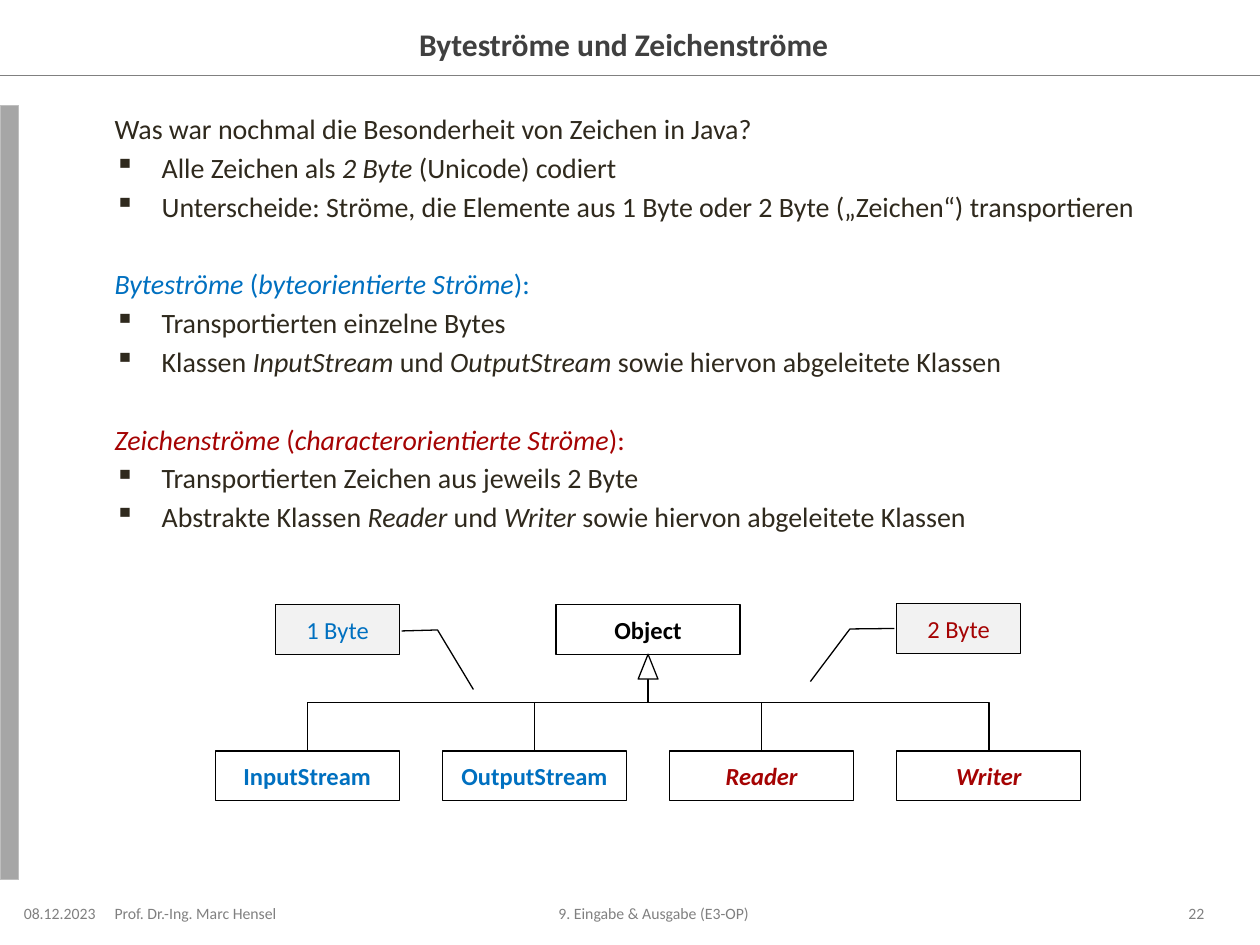
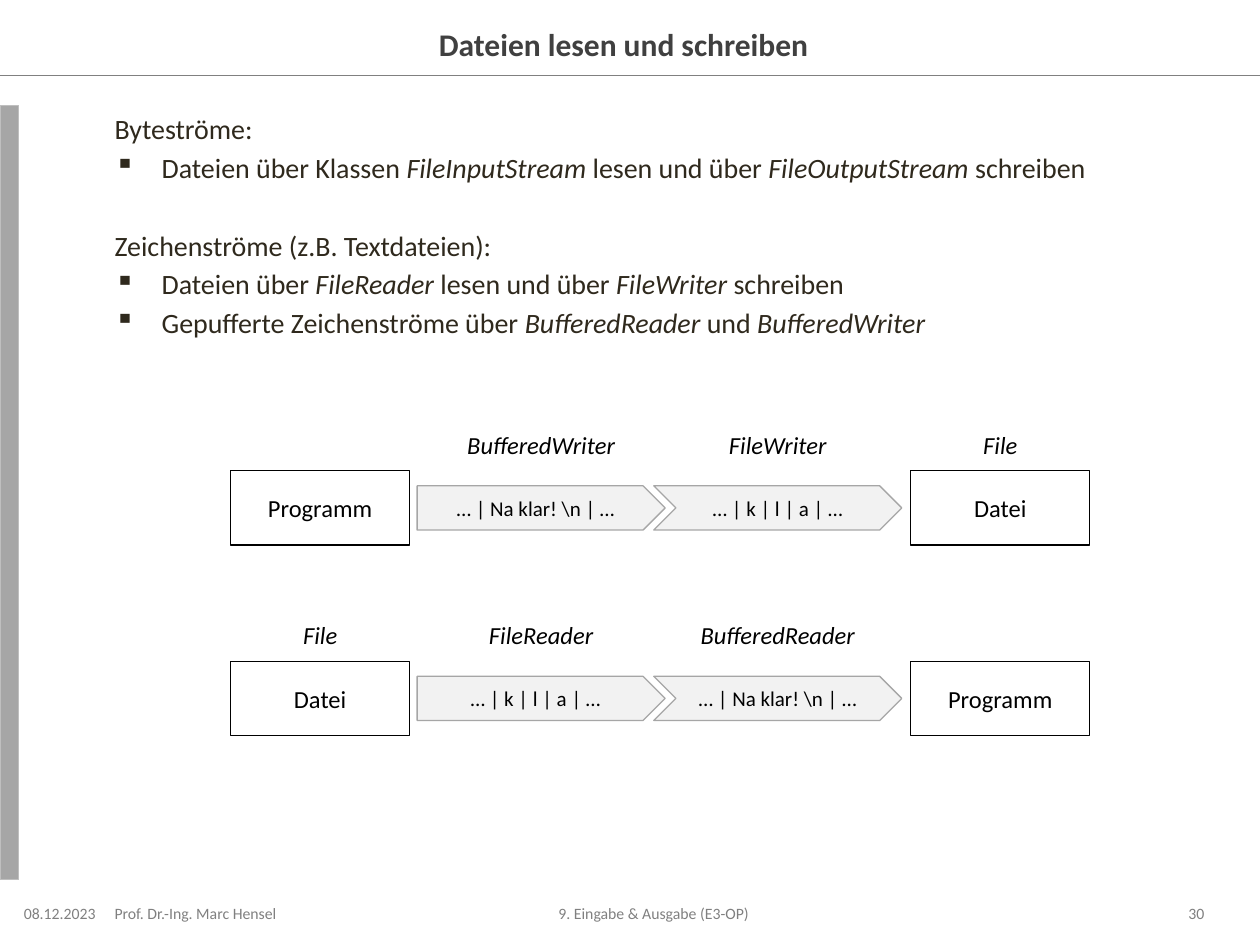
"""Builds two lecture slides on byte and character streams in Java."""
from lxml import etree
from pptx import Presentation
from pptx import util as u
from pptx.dml.color import RGBColor
from pptx.enum import shapes, text
from pptx.oxml import ns

WHITE = RGBColor(0xFF, 0xFF, 0xFF)
BLACK = RGBColor(0, 0, 0)
PALE = RGBColor(0xF2, 0xF2, 0xF2)
BAND = RGBColor(0xA6, 0xA6, 0xA6)
BAND_EDGE = RGBColor(0xBF, 0xBF, 0xBF)
GREY = RGBColor(0x80, 0x80, 0x80)
HEADING = RGBColor(0x40, 0x40, 0x40)
BODY = RGBColor(0x2F, 0x29, 0x1D)
BLUE = RGBColor(0x00, 0x70, 0xC0)
RED = RGBColor(0xA5, 0x03, 0x03)
FONT = "Calibri"
LEFT, CENTER, RIGHT = text.PP_ALIGN.LEFT, text.PP_ALIGN.CENTER, text.PP_ALIGN.RIGHT
KIND = shapes.MSO_SHAPE


def add_block(slide, kind, place, words="", size=14, color=BLACK, fill=WHITE,
              edge=BLACK, align=CENTER, bold=False, italic=False):
    """Add a preset shape, or a text box when kind is None, with its text."""
    place = [u.Cm(length) for length in place]
    if kind is None:
        block = slide.shapes.add_textbox(*place)
    else:
        block = slide.shapes.add_shape(kind, *place)
        block.shadow.inherit = False
        block.fill.solid()
        block.fill.fore_color.rgb = fill
        block.line.color.rgb = edge
        block.line.width = u.Pt(0.75)
    frame = block.text_frame
    frame.word_wrap = True
    frame.vertical_anchor = text.MSO_ANCHOR.MIDDLE
    if kind is None:
        frame.margin_left, frame.margin_right = u.Cm(0), u.Cm(0.25)
    if words:
        frame.text = words
        frame.paragraphs[0].alignment = align
        font = frame.paragraphs[0].runs[0].font
        font.name, font.size, font.color.rgb = FONT, u.Pt(size), color
        font.bold, font.italic = bold, italic
    return block


def add_line(slide, kind, start, end, color):
    """Add a thin connector without shadow."""
    line = slide.shapes.add_connector(kind, *[u.Cm(length) for length in start + end])
    line.line.color.rgb = color
    line.line.width = u.Pt(0.75)
    etree.SubElement(line._element.spPr, ns.qn("a:effectLst"))
    return line


topics = [
    ("Byteströme und Zeichenströme", "22", [
        ("Was war nochmal die Besonderheit von Zeichen in Java?", BODY, [
            "Alle Zeichen als *2 Byte* (Unicode) codiert",
            "Unterscheide: Ströme, die Elemente aus 1 Byte oder 2 Byte („Zeichen“) transportieren"]),
        ("*Byteströme* (*byteorientierte Ströme*):", BLUE, [
            "Transportierten einzelne Bytes",
            "Klassen *InputStream* und *OutputStream* sowie hiervon abgeleitete Klassen"]),
        ("*Zeichenströme* (*characterorientierte Ströme*):", RED, [
            "Transportierten Zeichen aus jeweils 2 Byte",
            "Abstrakte Klassen *Reader* und *Writer* sowie hiervon abgeleitete Klassen"])]),
    ("Dateien lesen und schreiben", "30", [
        ("Byteströme:", BODY, [
            "Dateien über Klassen *FileInputStream* lesen und über *FileOutputStream* schreiben"]),
        ("Zeichenströme (z.B. Textdateien):", BODY, [
            "Dateien über *FileReader* lesen und über *FileWriter* schreiben",
            "Gepufferte Zeichenströme über *BufferedReader* und *BufferedWriter*"])]),
]

deck = Presentation()
deck.slide_width, deck.slide_height = u.Cm(25.4), u.Cm(19.05)

for title, number, sections in topics:
    slide = deck.slides.add_slide(deck.slide_layouts[6])
    add_line(slide, shapes.MSO_CONNECTOR.STRAIGHT, (0, 1.52), (25.4, 1.52), GREY)
    add_block(slide, KIND.RECTANGLE, (0, 2.13, 0.38, 15.6), fill=BAND, edge=BAND_EDGE)
    add_block(slide, None, (3.15, 0.38, 19.1, 1), title, 18, HEADING, bold=True)
    for words, left, top, width, align in [
            ("08.12.2023", 0.38, 18.22, 1.9, CENTER),
            ("Prof. Dr.-Ing. Marc Hensel", 2.31, 18.21, 3.81, LEFT),
            ("9. Eingabe & Ausgabe (E3-OP)", 6.3, 18.23, 14, CENTER)]:
        add_block(slide, None, (left, top, width, 0.38), words, 9, GREY, align=align)
    page = add_block(slide, None, (22.66, 18.23, 1.62, 0.38), number, 9, GREY, align=RIGHT)
    page.text_frame.margin_left, page.text_frame.margin_right = u.Cm(0.25), u.Cm(0)

    body = add_block(slide, None, (2.31, 2.13, 22, 15.6)).text_frame
    body.vertical_anchor = text.MSO_ANCHOR.TOP
    paragraph = body.paragraphs[0]
    for section, (heading, heading_color, points) in enumerate(sections):
        for row, words in enumerate([heading] + points):
            if section or row:
                paragraph = body.add_paragraph()
            paragraph.space_before = u.Pt(25.3 if section and row == 0 else 2.9)
            if row:
                properties = paragraph._p.get_or_add_pPr()
                properties.set("marL", str(u.Cm(0.95)))
                properties.set("indent", str(-u.Cm(0.95)))
                etree.SubElement(properties, ns.qn("a:buChar")).set("char", "▪")
            for part, piece in enumerate(words.split("*")):
                if piece:
                    run = paragraph.add_run()
                    run.text = piece
                    run.font.name, run.font.size = FONT, u.Pt(16)
                    run.font.color.rgb = BODY if row else heading_color
                    run.font.italic = part % 2 == 1

hierarchy, files = deck.slides

class_left, class_step, class_width, class_height = 4.34, 4.58, 3.71, 1
object_top, class_top = 12.19, 15.14
object_left = class_left + 1.5 * class_step
object_center = object_left + class_width / 2
object_bottom = object_top + class_height
rise = class_top - object_bottom
middle = object_bottom + rise / 2
for column, (name, color, abstract) in enumerate([
        ("InputStream", BLUE, False), ("OutputStream", BLUE, False),
        ("Reader", RED, True), ("Writer", RED, True)]):
    left = class_left + column * class_step
    add_block(hierarchy, KIND.RECTANGLE, (left, class_top, class_width, class_height),
              name, color=color, bold=True, italic=abstract)
    run_width = left - object_left
    side = 1 if run_width > 0 else -1
    center = object_center + run_width / 2
    branch = add_line(hierarchy, shapes.MSO_CONNECTOR.ELBOW,
                      (center - side * rise / 2, middle + abs(run_width) / 2),
                      (center + side * rise / 2, middle - abs(run_width) / 2), BLACK)
    branch._element.spPr.xfrm.set("rot", str((180 + side * 90) * 60000))
add_block(hierarchy, KIND.RECTANGLE, (object_left, object_top, class_width, class_height),
          "Object", bold=True)
add_block(hierarchy, KIND.ISOSCELES_TRIANGLE, (object_center - 0.2, object_bottom, 0.4, 0.5))
for words, left, top, color, pointer in [
        ("1 Byte", 5.56, 12.19, BLUE, (0.53, 1.02, 0.51, 1.31, 1.71, 1.6)),
        ("2 Byte", 18.08, 12.17, RED, (0.5, -0.02, 0.51, -0.38, 1.57, -0.7))]:
    callout = add_block(hierarchy, KIND.LINE_CALLOUT_2, (left, top, 2.49, class_height),
                        words, color=color, fill=PALE)
    for index, value in enumerate(pointer):
        callout.adjustments[index] = value

line_data, char_data = "… | Na klar! \\n | …", "… | k | l | a | …"
stations = [(KIND.RECTANGLE, 4.65, 3.61, 1.5), (KIND.PENTAGON, 8.41, 5, 0.89),
            (KIND.CHEVRON, 13.18, 5, 0.89), (KIND.RECTANGLE, 18.36, 3.61, 1.5)]
flows = [
    [("Programm", ""), (line_data, "BufferedWriter"), (char_data, "FileWriter"), ("Datei", "File")],
    [("Datei", "File"), (char_data, "FileReader"), (line_data, "BufferedReader"), ("Programm", "")],
]
for row, flow in enumerate(flows):
    axis = 10.24 + row * 3.84
    for (kind, left, width, height), (words, label) in zip(stations, flow):
        is_box = kind == KIND.RECTANGLE
        add_block(files, kind, (left, axis - height / 2, width, height), words,
                  14 if is_box else 12, fill=WHITE if is_box else PALE,
                  edge=BLACK if is_box else BAND)
        if label:
            caption = add_block(files, None, (left, axis - 1.71, width, 0.86), label, italic=True)
            caption.text_frame.margin_right = u.Cm(0)

deck.save("out.pptx")
